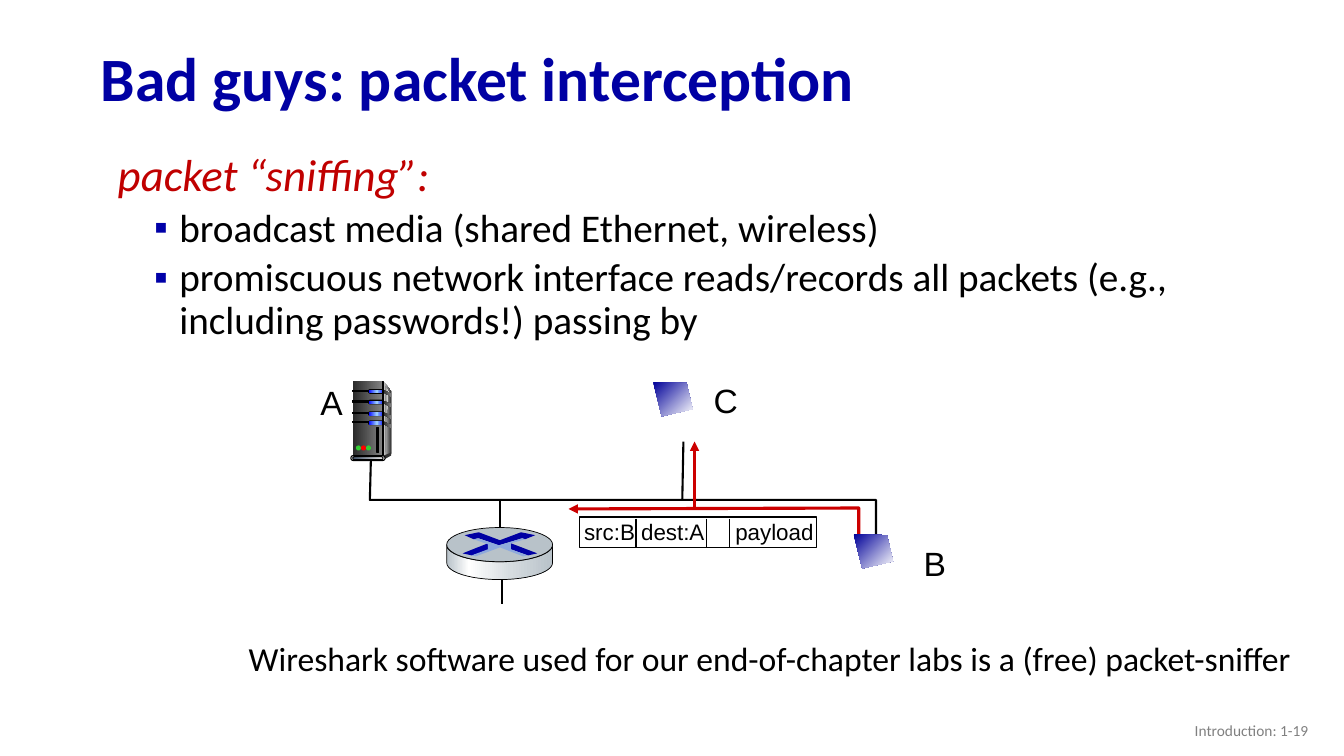
from dataclasses import dataclass
from math import cos, pi, sin
from typing import Optional, Sequence, Union

from lxml.etree import SubElement
from pptx import Presentation
from pptx.dml.color import RGBColor
from pptx.enum.shapes import MSO_CONNECTOR, MSO_SHAPE
from pptx.enum.text import MSO_ANCHOR, MSO_AUTO_SIZE, PP_ALIGN
from pptx.oxml.ns import qn
from pptx.shapes.shapetree import GroupShapes
from pptx.util import Pt

BLACK = RGBColor(0x00, 0x00, 0x00)
WHITE = RGBColor(0xFF, 0xFF, 0xFF)
NAVY = RGBColor(0x00, 0x00, 0xA3)
BULLET_BLUE = RGBColor(0x00, 0x00, 0xA8)
HOST_BLUE = RGBColor(0x00, 0x00, 0x99)
BLUE = RGBColor(0x00, 0x00, 0xFF)
SKY = RGBColor(0x99, 0xCC, 0xFF)
CROSS_BLUE = RGBColor(0x8F, 0xAA, 0xDC)
TERM_RED = RGBColor(0xC0, 0x00, 0x00)
ARROW_RED = RGBColor(0xCC, 0x00, 0x00)
LED_RED = RGBColor(0xFF, 0x00, 0x00)
LED_GREEN = RGBColor(0x33, 0xCC, 0x33)
STEEL = RGBColor(0xB8, 0xC2, 0xC9)
PALE_STEEL = RGBColor(0xD6, 0xDC, 0xE0)
COAL = RGBColor(0x29, 0x29, 0x29)
DARK = RGBColor(0x33, 0x33, 0x33)
GREY = RGBColor(0x80, 0x80, 0x80)
LIGHT = RGBColor(0xDD, 0xDD, 0xDD)
PALE = RGBColor(0xF8, 0xF8, 0xF8)
SLATE = RGBColor(0x44, 0x54, 0x6A)
CREAM = RGBColor(0xE7, 0xE6, 0xE6)

Point = tuple[float, float]


@dataclass(frozen=True)
class Gradient:
    stops: tuple[tuple[int, RGBColor], ...]
    angle: int = 0


@dataclass(frozen=True)
class Host:
    label: str
    label_box: tuple[float, float, float, float]
    corner: Optional[Point] = None


Paint = Union[RGBColor, Gradient, None]

HOST_FILL = Gradient(((0, HOST_BLUE), (100, WHITE)), 45)
CASE_FILL = Gradient(((0, COAL), (100, GREY)))
LIGHT_FILL = Gradient(((0, BLUE), (50, SKY), (100, BLUE)))
HOSTS = (
    Host("A", (221.8, 269.3, 30.2, 36)),
    Host("B", (652.3, 384.5, 31, 36), (609.8, 381.6)),
    Host("C", (502.6, 267.8, 31.7, 36), (466.6, 272.9)),
)


def paint(shape, fill: Paint, line: Optional[RGBColor], width: float) -> None:
    shape.shadow.inherit = False
    if fill is None:
        shape.fill.background()
    elif isinstance(fill, Gradient):
        shape.fill.gradient()
        shape.fill.gradient_angle = (360 - fill.angle) % 360
        stop_list = shape._element.spPr.find(qn("a:gradFill")).find(qn("a:gsLst"))
        for stop in list(stop_list):
            stop_list.remove(stop)
        for position, color in fill.stops:
            stop = SubElement(stop_list, qn("a:gs"), pos=str(position * 1000))
            SubElement(stop, qn("a:srgbClr"), val=str(color))
    else:
        shape.fill.solid()
        shape.fill.fore_color.rgb = fill
    if line is None:
        shape.line.fill.background()
    else:
        shape.line.color.rgb = line
        shape.line.width = Pt(width)


def add_arrowhead(line_owner) -> None:
    SubElement(line_owner.line._get_or_add_ln(), qn("a:tailEnd"), type="triangle")


def draw_preset(group: GroupShapes, kind: MSO_SHAPE, box: Sequence[float],
                fill: Paint, line: Optional[RGBColor] = None, width: float = 0.75) -> None:
    shape = group.add_shape(kind, *map(Pt, box))
    if kind == MSO_SHAPE.ROUNDED_RECTANGLE:
        shape.adjustments[0] = 0.5
    paint(shape, fill, line, width)


def draw_outline(group: GroupShapes, points: Sequence[Point], fill: Paint = None,
                 line: Optional[RGBColor] = None, width: float = 1.5, arrow: bool = False) -> None:
    scaled = [(x * 100, y * 100) for x, y in points]
    builder = group.build_freeform(*scaled[0], scale=127.0)
    builder.add_line_segments(scaled[1:], close=fill is not None)
    shape = builder.convert_to_shape()
    paint(shape, fill, line, width)
    if arrow:
        add_arrowhead(shape)


def draw_line(group: GroupShapes, start: Point, end: Point, color: RGBColor = BLACK,
              width: float = 1.5, arrow: bool = False) -> None:
    wire = group.add_connector(MSO_CONNECTOR.STRAIGHT, *map(Pt, (*start, *end)))
    wire.line.color.rgb = color
    wire.line.width = Pt(width)
    if arrow:
        add_arrowhead(wire)
    SubElement(wire._element.spPr, qn("a:effectLst"))


def write(paragraph, text: str, *, size: float, color: RGBColor = BLACK, font: str = "Calibri",
          bold: bool = False, italic: bool = False, align: PP_ALIGN = PP_ALIGN.LEFT,
          spacing: float = 1.0, before: float = 0, margin: float = 0, indent: float = 0,
          level: int = 0, bullet: str = "", tab: float = 0) -> None:
    paragraph.alignment = align
    paragraph.level = level
    paragraph.line_spacing = spacing
    paragraph.space_before = Pt(before)
    props = paragraph._p.get_or_add_pPr()
    props.set("marL", str(Pt(margin)))
    props.set("indent", str(Pt(indent)))
    if bullet:
        SubElement(SubElement(props, qn("a:buClr")), qn("a:srgbClr"), val=str(BULLET_BLUE))
        SubElement(props, qn("a:buFont"), typeface="Arial")
        SubElement(props, qn("a:buChar"), char=bullet)
    else:
        SubElement(props, qn("a:buNone"))
    if tab:
        SubElement(SubElement(props, qn("a:tabLst")), qn("a:tab"), pos=str(Pt(tab)), algn="l")
    run = paragraph.add_run()
    run.text = text
    run.font.name, run.font.size = font, Pt(size)
    run.font.bold, run.font.italic = bold, italic
    run.font.color.rgb = color


def place(holder, box: Sequence[float], anchor: MSO_ANCHOR = MSO_ANCHOR.TOP, wrap: bool = True):
    holder.left, holder.top, holder.width, holder.height = map(Pt, box)
    frame = holder.text_frame
    frame.word_wrap = wrap
    frame.auto_size = MSO_AUTO_SIZE.NONE if wrap else MSO_AUTO_SIZE.SHAPE_TO_FIT_TEXT
    frame.vertical_anchor = anchor
    return frame


def add_label(shapes, box: Sequence[float], anchor: MSO_ANCHOR = MSO_ANCHOR.TOP, wrap: bool = True):
    return place(shapes.add_textbox(*map(Pt, box)), box, anchor, wrap)


def draw_network(group: GroupShapes) -> None:
    draw_outline(group, [(265, 325.4), (264.2, 357.1), (625.7, 357.1), (625.7, 383)], line=BLACK)
    draw_outline(group, [(487.4, 356.4), (488.2, 315.4)], line=BLACK)
    draw_line(group, (357.1, 385.9), (357.1, 356.4))
    draw_line(group, (358.6, 431.3), (358.6, 412.6))


def draw_packet(group: GroupShapes) -> None:
    draw_preset(group, MSO_SHAPE.RECTANGLE, (414, 369.4, 169.2, 21.6), WHITE, BLACK, 1)
    for divider in (454.3, 504.7, 521.3):
        draw_line(group, (divider, 370.5), (divider, 391), width=1)
    fields = add_label(group, (408.2, 366.5, 180.7, 26.6))
    fields.margin_left = Pt(9)
    write(fields.paragraphs[0], "src:B dest:A\tpayload", size=16, font="Arial", tab=107.8)
    draw_outline(group, [(613.4, 381.6), (613.4, 362.9), (406.1, 363.6)],
                 line=ARROW_RED, width=2.25, arrow=True)
    draw_line(group, (496.1, 362.9), (496.1, 315.4), ARROW_RED, 2.25, arrow=True)


def draw_server(group: GroupShapes) -> None:
    rect, pill, dot = MSO_SHAPE.RECTANGLE, MSO_SHAPE.ROUNDED_RECTANGLE, MSO_SHAPE.OVAL
    draw_outline(group, [(274.3, 272.9), (279.4, 279.4), (279.4, 324), (273.6, 326.2)],
                 Gradient(((0, LIGHT), (100, DARK))))
    draw_preset(group, rect, (252, 272.2, 20.9, 53.3), CASE_FILL)
    draw_outline(group, [(275, 275.8), (277.9, 280.1), (275.6, 300), (275, 324.7)],
                 Gradient(((0, GREY), (100, PALE))))
    for y in (278.6, 286.2, 294.5, 301):
        draw_outline(group, [(273.8, y), (279.4, y + 2.5), (279.4, y + 4.7), (273.8, y + 1.8)],
                     CASE_FILL)
        draw_preset(group, rect, (252, y, 12.2, 1.1), BLACK, BLACK)
        draw_preset(group, pill, (262.8, y - 0.7, 11.5, 3.4), BLACK)
        draw_preset(group, pill, (263.3, y, 11.5, 2.5), LIGHT_FILL)
    draw_preset(group, rect, (272.9, 272.2, 1.4, 53.3),
                Gradient(((0, DARK), (50, LIGHT), (100, DARK))), BLACK)
    draw_preset(group, dot, (278.6, 323.3, 0.7, 2.2), DARK)
    draw_outline(group, [(274.3, 325.4), (274.3, 328.3), (279.4, 325.4), (279.4, 323.3)], DARK)
    draw_preset(group, pill, (250.6, 325.4, 24.5, 3.6), LIGHT, BLACK)
    draw_preset(group, pill, (252, 326.2, 21.6, 2.2), Gradient(((0, SLATE), (100, CREAM))), BLACK)
    for column, color in enumerate((LED_GREEN, LED_RED, LED_GREEN)):
        draw_preset(group, dot, (254.2 + 3.6 * column, 318.2, 3.6, 3.6), color)
    draw_preset(group, rect, (269.3, 305.3, 1.4, 18), COAL, BLACK)


def draw_router(group: GroupShapes) -> None:
    angles = [pi * step / 24 for step in range(25)]
    bottom = [(356.9 + 37.8 * cos(a), 402 + 12 * sin(a)) for a in angles]
    rim = [(356.9 - 37.8 * cos(a), 389.3 + 12 * sin(a)) for a in angles]
    draw_outline(group, bottom + rim,
                 Gradient(((0, STEEL), (21, WHITE), (60, PALE_STEEL), (100, STEEL))), BLACK, 0.5)
    draw_preset(group, MSO_SHAPE.OVAL, (319.1, 376.8, 75.6, 24.4), STEEL, BLACK, 0.5)
    draw_outline(group, [(372.2, 380.2), (382.3, 382.3), (375.1, 385.2), (373, 384.5),
                         (356.4, 389.5), (342, 384.5), (338.4, 385.2), (331.9, 382.3),
                         (342, 380.2), (357.1, 385.9)], NAVY)
    draw_outline(group, [(365, 388.1), (383.8, 395.3), (377.3, 396.7), (365, 392.4)], NAVY)
    draw_outline(group, [(348.5, 388.1), (349.2, 393.1), (337, 396.7), (330.5, 395.3)], BULLET_BLUE)
    draw_outline(group, [(338.4, 385.2), (341.3, 384.5), (356.4, 389.5), (373, 384.5),
                         (375.1, 385.2), (365, 388.1), (365, 392.4), (376.6, 396.7),
                         (373.7, 397.4), (357.1, 391), (339.8, 397.4), (337, 396.7),
                         (348.5, 392.4), (348.5, 388.8)], CROSS_BLUE)


def main() -> None:
    deck = Presentation()
    deck.slide_width, deck.slide_height = Pt(960), Pt(540)
    slide = deck.slides.add_slide(deck.slide_layouts[1])
    shapes = slide.shapes

    heading = place(shapes.title, (64.8, 23, 828, 70.6), MSO_ANCHOR.MIDDLE)
    write(heading.paragraphs[0], "Bad guys: packet interception",
          size=44, color=NAVY, bold=True, spacing=0.9)

    sniffing = place(slide.placeholders[1], (66.2, 105.8, 814.3, 164.2))
    write(sniffing.paragraphs[0], "packet “sniffing”:", size=32, color=TERM_RED, italic=True,
          spacing=0.9, margin=28, indent=-17.3)
    for point in ("broadcast media (shared Ethernet, wireless)",
                  "promiscuous network interface reads/records all packets "
                  "(e.g., including passwords!) passing by"):
        write(sniffing.add_paragraph(), point, size=28, spacing=0.9, before=5,
              margin=54.7, indent=-18, level=1, bullet="▪")

    for draw_part in (draw_network, draw_packet, draw_server, draw_router):
        draw_part(shapes.add_group_shape().shapes)
    for host in HOSTS:
        label = add_label(shapes, host.label_box, wrap=False)
        write(label.paragraphs[0], host.label, size=24, font="Arial", align=PP_ALIGN.CENTER)
        if host.corner:
            x, y = host.corner
            draw_outline(shapes, [(x, y), (x + 23.8, y + 0.7), (x + 28.1, y + 19.4),
                                  (x + 6.1, y + 24.5)], HOST_FILL)

    lab_note = add_label(shapes, (134.6, 452.2, 807.1, 72))
    write(lab_note.paragraphs[0],
          "Wireshark software used for our end-of-chapter labs is a (free) packet-sniffer",
          size=24, margin=36, level=1)
    page_mark = add_label(shapes, (725.8, 507.6, 216, 28.8), MSO_ANCHOR.MIDDLE)
    write(page_mark.paragraphs[0], "Introduction: 1-19", size=11, color=GREY, align=PP_ALIGN.RIGHT)

    deck.save("out.pptx")


if __name__ == "__main__":
    main()
